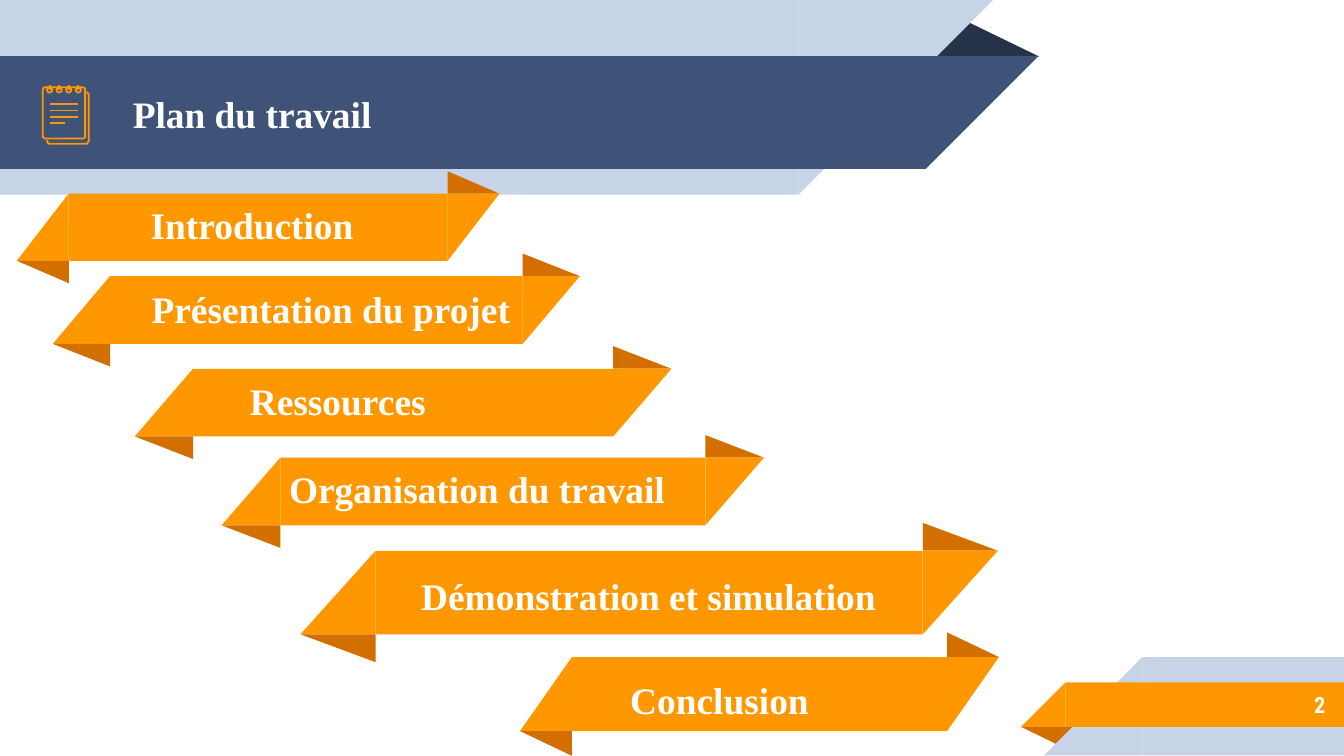
import pptx
import pptx.dml.color
import pptx.enum.shapes
import pptx.enum.text
import pptx.oxml
import pptx.oxml.ns
import pptx.util

Cm, Pt = pptx.util.Cm, pptx.util.Pt
RGB = pptx.dml.color.RGBColor.from_string
KIND = pptx.enum.shapes.MSO_SHAPE
ALIGN = pptx.enum.text.PP_ALIGN

THEME = {
    "pale": RGB("C7D3E6"),
    "navy": RGB("3F5378"),
    "dark": RGB("263248"),
    "orange": RGB("FF9800"),
    "shade": RGB("D26F00"),
    "white": RGB("FFFFFF"),
    "heading": Pt(20),
    "number": Pt(12),
    "stroke": Pt(0.96),
    "serif": "Times New Roman",
    "sans": "Roboto Condensed",
}

FRAME = {
    "word_wrap": True,
    "vertical_anchor": pptx.enum.text.MSO_ANCHOR.MIDDLE,
    "margin_left": Cm(0.25),
    "margin_right": Cm(0.25),
    "margin_top": Cm(0.25),
    "margin_bottom": Cm(0.25),
}

deck = pptx.Presentation()
deck.slide_width, deck.slide_height = Cm(25.4), Cm(14.29)
slide = deck.slides.add_slide(deck.slide_layouts[6])


def add_piece(group, kind, box, color, turned=False, mirrored=False, apex=None):
    piece = group.shapes.add_shape(kind, *map(Cm, box))
    piece.shadow.inherit = False
    piece.fill.solid()
    piece.fill.fore_color.rgb = THEME[color]
    piece.line.fill.background()
    if apex is not None:
        piece.adjustments[0] = apex
    if turned:
        piece.rotation = 180
    if mirrored:
        piece._element.spPr.xfrm.set("flipH", "1")


def add_label(words, box, align, size="heading", face="serif"):
    frame = slide.shapes.add_textbox(*map(Cm, box)).text_frame
    for name, value in FRAME.items():
        setattr(frame, name, value)
    line = frame.paragraphs[0]
    line.alignment = align
    run = line.add_run()
    run.text = words
    for name, value in {"name": THEME[face], "size": THEME[size], "bold": True}.items():
        setattr(run.font, name, value)
    run.font.color.rgb = THEME["white"]


# Header band: each bar ends in a square-cornered slant
header = slide.shapes.add_group_shape()
add_piece(header, KIND.ISOSCELES_TRIANGLE, (17.48, 0.36, 2.16, 0.71), "dark", apex=0.324)
for top, length, height, color in [(0, 15.09, 3.68, "pale"), (1.06, 17.5, 2.13, "navy")]:
    add_piece(header, KIND.RECTANGLE, (0, top, length, height), color, True, True)
    add_piece(header, KIND.RIGHT_TRIANGLE, (length, top, height, height), color, True, True)

# Footer band
footer = slide.shapes.add_group_shape()
add_piece(footer, KIND.ISOSCELES_TRIANGLE, (19.3, 13.74, 1.09, 0.36), "shade", turned=True, apex=0.324)
for left, top, height, color in [(21.59, 12.42, 1.86, "pale"), (20.14, 12.9, 0.84, "orange")]:
    add_piece(footer, KIND.RECTANGLE, (left, top, 25.4 - left, height), color, mirrored=True)
    add_piece(footer, KIND.RIGHT_TRIANGLE, (left - height, top, height, height), color, mirrored=True)

add_label("Plan du travail", (2.26, 1.09, 14.6, 2.13), ALIGN.LEFT)
add_label("2", (21.16, 12.88, 4.14, 0.89), ALIGN.RIGHT, "number", "sans")

# Notepad icon: back page, front page, rings, written lines and pins
notepad = slide.shapes.add_group_shape()
back_page = notepad.shapes.build_freeform(Cm(0.89), Cm(2.65), 1.0)
back_page.add_line_segments(
    [(Cm(x), Cm(y)) for x, y in [(0.9, 2.7), (0.94, 2.72), (1.64, 2.72), (1.68, 2.67), (1.68, 1.78), (1.64, 1.74)]],
    close=False,
)
outlines = [back_page.convert_to_shape()]
front_page = notepad.shapes.add_shape(KIND.ROUNDED_RECTANGLE, Cm(0.81), Cm(1.65), Cm(0.8), Cm(0.97))
front_page.adjustments[0] = 0.06
outlines.append(front_page)

strokes = [(0.94, 1.97 + 0.12 * row, 1.22 if row == 3 else 1.48, 1.97 + 0.12 * row) for row in range(4)]
for hole in range(4):
    center = 0.94 + 0.18 * hole
    outlines.append(notepad.shapes.add_shape(KIND.OVAL, Cm(center - 0.05), Cm(1.65), Cm(0.1), Cm(0.1)))
    strokes.append((center, 1.6, center, 1.7))
for outline in outlines:
    outline.shadow.inherit = False
    outline.fill.background()

straight = pptx.enum.shapes.MSO_CONNECTOR.STRAIGHT
pen_lines = [notepad.shapes.add_connector(straight, *map(Cm, ends)) for ends in strokes]
for drawn in outlines + pen_lines:
    drawn.line.color.rgb = THEME["orange"]
    drawn.line.width = THEME["stroke"]
for pen_line in pen_lines:
    pen_line._element.spPr.append(pptx.oxml.parse_xml(f'<a:effectLst {pptx.oxml.ns.nsdecls("a")}/>'))

# Agenda ribbons: words, (left, top, fold width, body width, height), label box
ribbons = [
    ("Introduction", (0.32, 3.66, 0.98, 7.16, 1.27), (0.03, 3.63, 9.47, 1.24)),
    ("Présentation du projet", (1, 5.22, 1.08, 7.8, 1.28), (1.52, 5.21, 9.47, 1.24)),
    ("Ressources", (2.55, 6.97, 1.1, 7.94, 1.28), (1.65, 6.96, 9.47, 1.24)),
    ("Organisation du travail", (4.19, 8.65, 1.11, 8.03, 1.28), (4.65, 8.61, 8.74, 1.24)),
    ("Démonstration et simulation", (5.68, 10.41, 1.42, 10.34, 1.58), (7.65, 10.69, 9.22, 1.14)),
    ("Conclusion", (9.83, 12.42, 0.98, 7.09, 1.4), (8.15, 12.52, 10.9, 1.4)),
]
for words, (left, top, fold, body, height), label_box in ribbons:
    ribbon = slide.shapes.add_group_shape()
    start, end, fold_height = left + fold, left + fold + body, height / 3
    add_piece(ribbon, KIND.ISOSCELES_TRIANGLE, (end, top - fold_height, fold, fold_height), "shade", apex=0)
    add_piece(ribbon, KIND.RECTANGLE, (start, top, body, height), "orange", True, True)
    add_piece(ribbon, KIND.RIGHT_TRIANGLE, (end, top, fold, height), "orange", True, True)
    add_piece(ribbon, KIND.RIGHT_TRIANGLE, (left, top, fold, height), "orange", mirrored=True)
    add_piece(ribbon, KIND.ISOSCELES_TRIANGLE, (left, top + height, fold, fold_height), "shade", turned=True, apex=0)
    add_label(words, label_box, ALIGN.CENTER)

deck.save("out.pptx")
